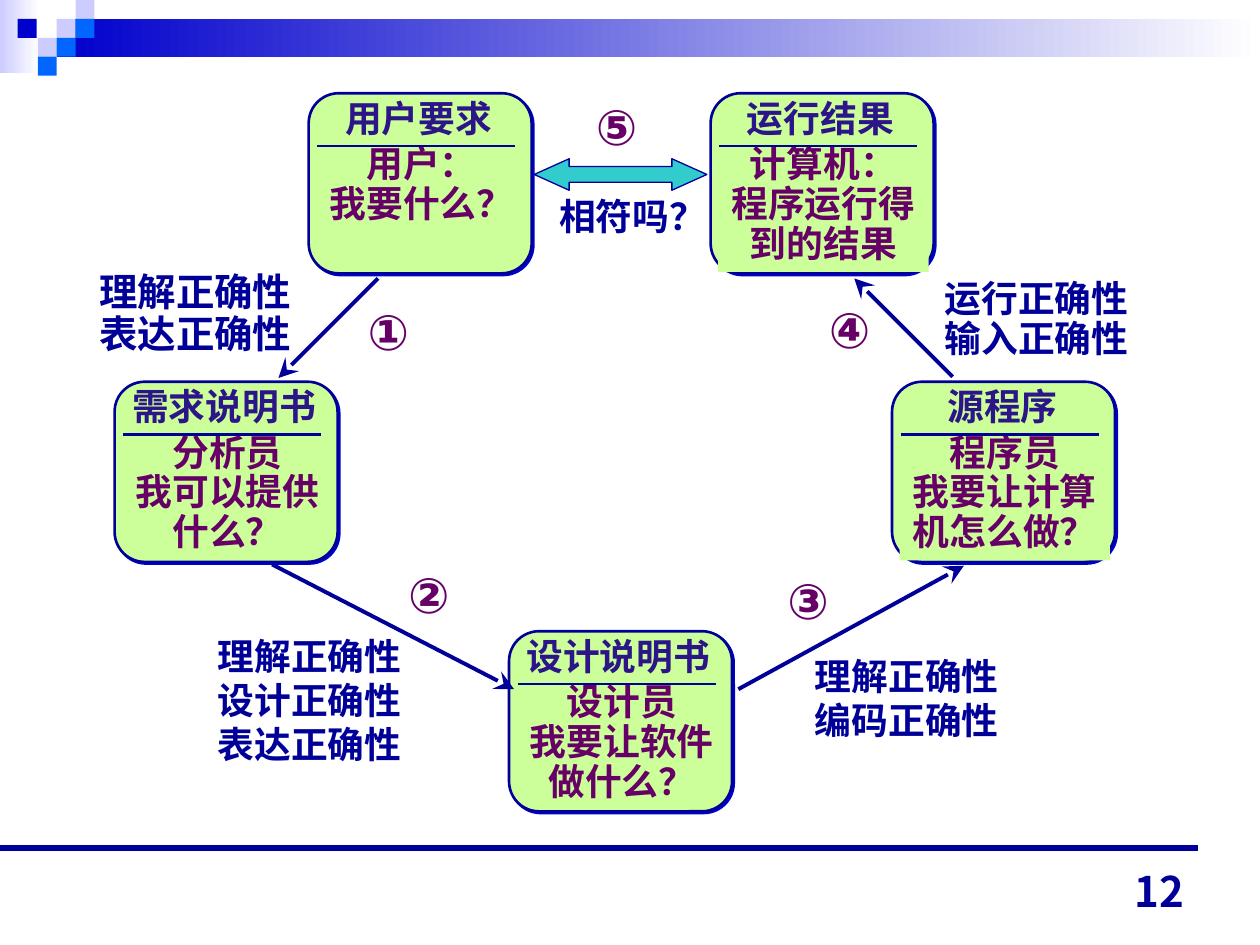
from lxml.etree import SubElement
from pptx import Presentation
from pptx.dml.color import RGBColor
from pptx.enum.shapes import MSO_CONNECTOR, MSO_SHAPE
from pptx.enum.text import MSO_ANCHOR, MSO_AUTO_SIZE, PP_ALIGN
from pptx.oxml.ns import qn
from pptx.util import Inches, Pt

NAVY = "000099"
BLUE = "0000CC"
BRIGHT = "0066FF"
LAVENDER = "CCCCFF"
LIME = "CCFF99"
PURPLE = "660066"
INDIGO = "2C1588"
SERIF = "Times New Roman"

BLOCK = 0.15
BLOCKS = [
    (0.45, 0.15, LAVENDER), (0.6, 0, LAVENDER), (0.6, 0.15, BRIGHT),
    (0.3, 0.3, LAVENDER), (0.14, 0.15, BLUE), (0.45, 0.3, BRIGHT),
    (0.3, 0.45, BRIGHT),
]
CARDS = [
    (2.45, 0.74, "用户要求", ["用户：", "我要什么？"], None),
    (0.91, 3.03, "需求说明书", ["分析员", "我可以提供", "什么？"], None),
    (5.64, 0.74, "运行结果", ["计算机：", "程序运行得", "到的结果"], LIME),
    (7.08, 3.03, "源程序", ["程序员", "我要让计算", "机怎么做？"], LIME),
    (4.04, 5.01, "设计说明书", ["设计员", "我要让软件", "做什么？"], None),
]
ARROWS = [
    (3, 2.21, 2.21, 3), (2.16, 4.48, 4.08, 5.47),
    (5.86, 5.47, 7.65, 4.49), (7.56, 2.99, 6.78, 2.21),
]
LABELS = [
    (4.34, 1.49, 1.4, 0.45, ["相符吗？"], 21, 1),
    (0.69, 2.12, 1.76, 0.76, ["理解正确性", "表达正确性"], 22, 0.9),
    (1.63, 4.98, 1.7, 1.15, ["理解正确性", "设计正确性", "表达正确性"], 21, 1),
    (6.37, 5.14, 1.7, 0.8, ["理解正确性", "编码正确性"], 21, 1),
    (7.4, 2.18, 1.7, 0.73, ["运行正确性", "输入正确性"], 21, 0.9),
]
NUMBERS = [
    (2.82, 2.34, "①"), (3.14, 4.43, "②"), (6.15, 4.48, "③"),
    (6.48, 2.33, "④"), (4.63, 0.72, "⑤"),
]


def color(value):
    return RGBColor.from_string(value)


def add_box(page, kind, left, top, width, height, fill, line=None, weight=1.5):
    box = page.shapes.add_shape(
        kind, Inches(left), Inches(top), Inches(width), Inches(height))
    box.shadow.inherit = False
    box.fill.solid()
    box.fill.fore_color.rgb = color(fill)
    if line:
        box.line.color.rgb = color(line)
        box.line.width = Pt(weight)
    else:
        box.line.fill.background()
    return box


def add_gradient_bar(page, left, top, width, height, start):
    bar = add_box(page, MSO_SHAPE.RECTANGLE, left, top, width, height, start)
    bar.fill.gradient()
    bar.fill.gradient_angle = 180
    for stop, value, position in zip(
            bar.fill.gradient_stops, ("FFFFFF", start), (0, 1)):
        stop.color.rgb = color(value)
        stop.position = position


def add_line(page, start_x, start_y, end_x, end_y, weight, arrow=False):
    line = page.shapes.add_connector(
        MSO_CONNECTOR.STRAIGHT, Inches(start_x), Inches(start_y),
        Inches(end_x), Inches(end_y))
    line.line.color.rgb = color(NAVY)
    line.line.width = Pt(weight)
    properties = line.element.spPr
    if arrow:
        SubElement(properties.find(qn("a:ln")), qn("a:tailEnd"),
                   type="stealth", w="lg", len="lg")
    SubElement(properties, qn("a:effectLst"))


def add_text(page, left, top, width, height, lines, size, ink, font=SERIF,
             align=PP_ALIGN.LEFT, spacing=1, fill=None):
    box = page.shapes.add_textbox(
        Inches(left), Inches(top), Inches(width), Inches(height))
    if fill:
        box.fill.solid()
        box.fill.fore_color.rgb = color(fill)
    frame = box.text_frame
    frame.word_wrap = False
    frame.auto_size = MSO_AUTO_SIZE.SHAPE_TO_FIT_TEXT
    for index, line in enumerate(lines):
        para = frame.add_paragraph() if index else frame.paragraphs[0]
        para.alignment = align
        para.line_spacing = spacing
        span = para.add_run()
        span.text = line
        span.font.name = font
        span.font.size = Pt(size)
        span.font.bold = True
        span.font.color.rgb = color(ink)
    return frame


def add_hard_shadow(box):
    effects = box.element.spPr.find(qn("a:effectLst"))
    shadow = SubElement(
        effects, qn("a:outerShdw"), blurRad="0", dist=str(Pt(1.4)),
        dir="2700000", algn="ctr", rotWithShape="0")
    SubElement(shadow, qn("a:srgbClr"), val=BLUE)


def add_card(page, left, top, title, body, body_fill):
    card = add_box(page, MSO_SHAPE.FLOWCHART_ALTERNATE_PROCESS,
                   left, top, 1.77, 1.43, LIME, NAVY)
    add_hard_shadow(card)
    title_width = 0.2 + 0.3 * len(title)
    add_text(page, left + 0.89 - title_width / 2, top - 0.03, title_width, 0.45,
             [title], 21, INDIGO)
    add_text(page, left + 0.06, top + 0.37, 1.67, 0.1 + 0.316 * len(body),
             body, 21, PURPLE, align=PP_ALIGN.CENTER, spacing=0.9,
             fill=body_fill)
    add_line(page, left + 0.07, top + 0.42, left + 1.64, top + 0.42, 1.5)


def add_decoration(page):
    add_gradient_bar(page, 0, 0, 0.31, 0.58, LAVENDER)
    add_gradient_bar(page, 0.45, 0.15, 9.55, 0.3, BLUE)
    for left, top, fill in BLOCKS:
        add_box(page, MSO_SHAPE.RECTANGLE, left, top, BLOCK, BLOCK, fill)
    add_line(page, 0, 6.73, 9.51, 6.73, 3.25)


def add_page_number(page):
    frame = add_text(page, 7.17, 6.82, 2.33, 0.5, ["12"], 24, NAVY,
                     "Noto Sans CJK JP", PP_ALIGN.RIGHT)
    frame.auto_size = MSO_AUTO_SIZE.NONE
    frame.word_wrap = True
    frame.vertical_anchor = MSO_ANCHOR.BOTTOM


def main():
    deck = Presentation()
    deck.slide_width = Inches(10)
    deck.slide_height = Inches(7.5)
    page = deck.slides.add_slide(deck.slide_layouts[6])
    add_decoration(page)
    for card in CARDS:
        add_card(page, *card)
    match = add_box(page, MSO_SHAPE.LEFT_RIGHT_ARROW,
                    4.24, 1.26, 1.37, 0.25, "33CCCC", NAVY, 0.75)
    match.adjustments[0] = 0.5
    match.adjustments[1] = 1.11
    for arrow in ARROWS:
        add_line(page, *arrow, 2.25, arrow=True)
    for left, top, width, height, lines, size, spacing in LABELS:
        add_text(page, left, top, width, height, lines, size, NAVY,
                 spacing=spacing)
    for left, top, number in NUMBERS:
        add_text(page, left, top, 0.55, 0.57, [number], 28, PURPLE, "Arial")
    add_page_number(page)
    deck.save("out.pptx")


if __name__ == "__main__":
    main()
